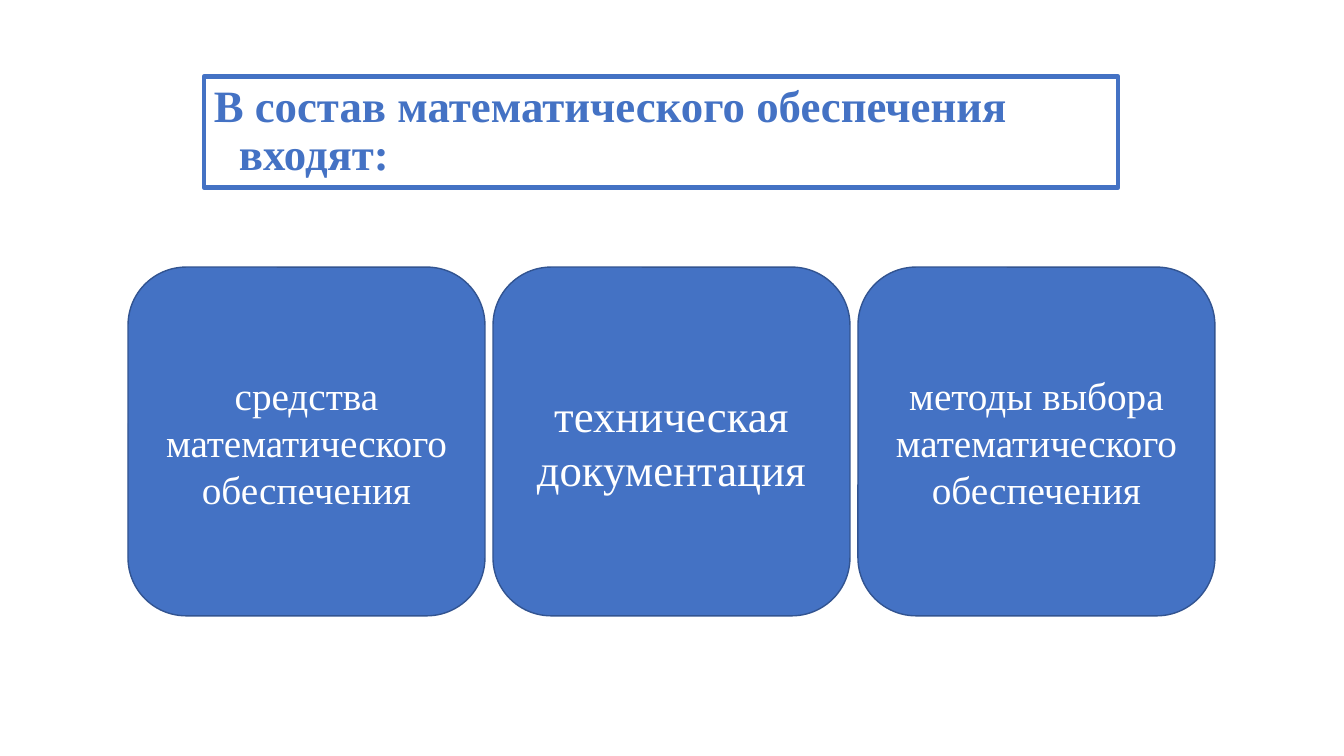
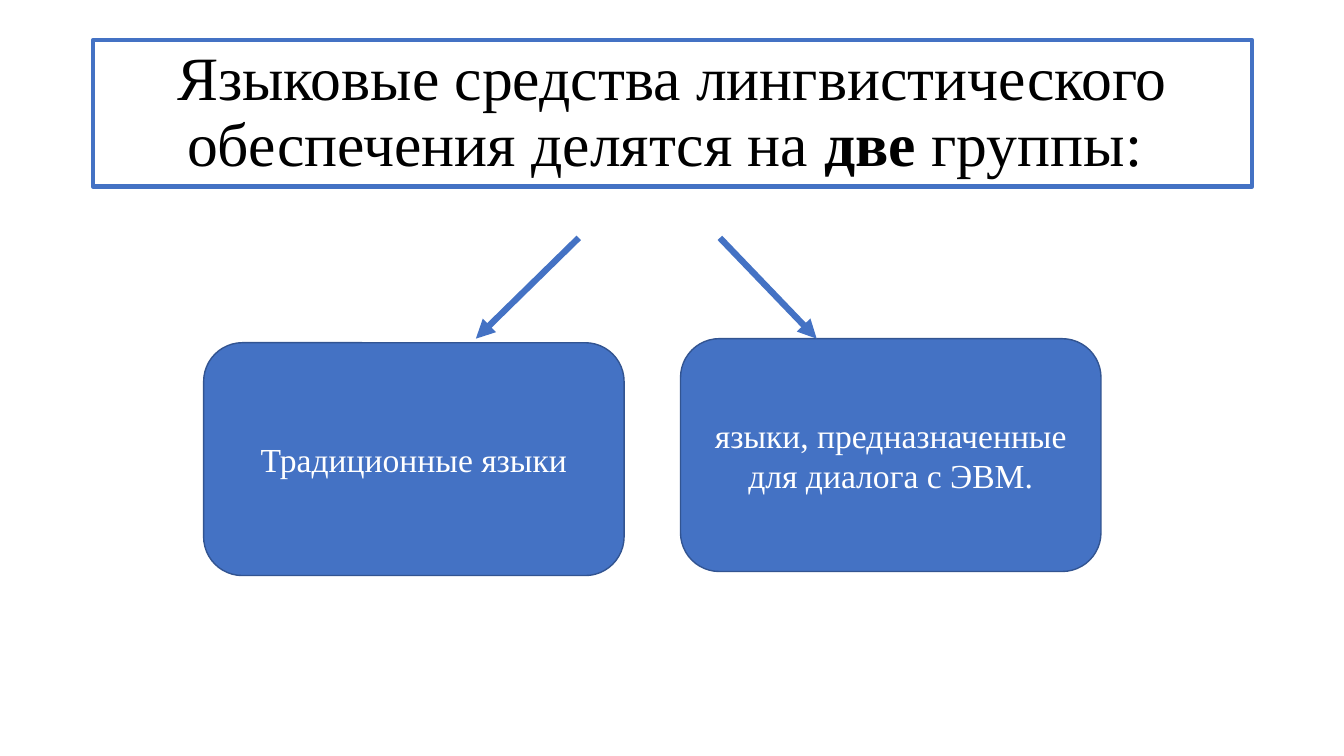
import pptx
import pptx.util
import pptx.dml.color
import pptx.enum.shapes
import pptx.enum.text
import pptx.oxml
import pptx.oxml.ns
from pptx.util import Inches

COLORS = {"blue": "4472C4", "edge": "325491", "white": "FFFFFF", "black": "000000"}
ALIGN = pptx.enum.text.PP_ALIGN
ANCHOR = pptx.enum.text.MSO_ANCHOR


def rgb(name):
    return pptx.dml.color.RGBColor.from_string(COLORS[name])


class Deck:
    """Holds the shared style and the current slide."""

    font = "Times New Roman"

    def __init__(self):
        self.prs = pptx.Presentation()
        self.prs.slide_width = Inches(13.33)
        self.prs.slide_height = Inches(7.5)

    def new_slide(self):
        self.s = self.prs.slides.add_slide(self.prs.slide_layouts[5])

    def outline(self, sp, color, width):
        sp.line.color.rgb = rgb(color)
        sp.line.width = pptx.util.Pt(width)

    def place(self, sp, x, y, w, h):
        sp.left, sp.top, sp.width, sp.height = map(Inches, (x, y, w, h))

    def format_run(self, r, size, color, bold=False):
        r.font.name = self.font
        r.font.size = pptx.util.Pt(size)
        r.font.bold = bold
        r.font.color.rgb = rgb(color)

    def title(self, box, parts, size, color, align=ALIGN.CENTER, before=0, hanging=0):
        sp = self.s.shapes.title
        self.place(sp, *box)
        self.outline(sp, "blue", 3)
        tf = sp.text_frame
        tf.word_wrap = True
        tf.auto_size = pptx.enum.text.MSO_AUTO_SIZE.NONE
        tf.vertical_anchor = ANCHOR.MIDDLE
        p = tf.paragraphs[0]
        p.alignment = align
        p.line_spacing = 0.9
        p.space_before = pptx.util.Pt(before)
        if hanging:
            pPr = p._p.get_or_add_pPr()
            pPr.set("marL", str(Inches(hanging)))
            pPr.set("indent", str(-Inches(hanging)))
        for text, bold in parts:
            r = p.add_run()
            r.text = text
            self.format_run(r, size, color, bold)

    def card(self, x, y, w, h, text, size):
        kind = pptx.enum.shapes.MSO_SHAPE.ROUNDED_RECTANGLE
        sp = self.s.shapes.add_shape(kind, *map(Inches, (x, y, w, h)))
        sp.shadow.inherit = False
        sp.fill.solid()
        sp.fill.fore_color.rgb = rgb("blue")
        self.outline(sp, "edge", 1)
        tf = sp.text_frame
        tf.word_wrap = True
        tf.vertical_anchor = ANCHOR.MIDDLE
        tf.text = text
        p = tf.paragraphs[0]
        p.alignment = ALIGN.CENTER
        self.format_run(p.runs[0], size, "white")

    def arrow(self, x1, y1, x2, y2):
        kind = pptx.enum.shapes.MSO_CONNECTOR.STRAIGHT
        sp = self.s.shapes.add_connector(kind, *map(Inches, (x1, y1, x2, y2)))
        self.outline(sp, "blue", 4.5)
        tail = pptx.oxml.parse_xml(
            f'<a:tailEnd {pptx.oxml.ns.nsdecls("a")} type="triangle"/>')
        sp.line._get_or_add_ln().append(tail)
        effects = pptx.oxml.parse_xml(f'<a:effectLst {pptx.oxml.ns.nsdecls("a")}/>')
        sp._element.spPr.append(effects)


deck = Deck()

deck.new_slide()
deck.title((2.02, 0.76, 9.07, 1.1),
           [("В состав математического обеспечения входят:", True)],
           32, "blue", ALIGN.LEFT, before=10, hanging=0.25)
components = [
    ("средства математического обеспечения", 28),
    ("техническая документация", 32),
    ("методы выбора математического обеспечения", 28),
]
card_w, gap = 3.54, 0.08
for i, (text, size) in enumerate(components):
    deck.card(1.27 + i * (card_w + gap), 2.65, card_w, 3.46, text, size)

deck.new_slide()
deck.title((0.92, 0.4, 11.5, 1.45),
           [("Языковые средства лингвистического обеспечения делятся на ", False),
            ("две", True), (" группы: ", False)], 44, "black")
groups = [
    (6.75, 3.36, "языки, предназначенные для диалога с ЭВМ."),
    (2.02, 3.4, "Традиционные языки"),
]
for x, y, text in groups:
    deck.card(x, y, 4.17, 2.31, text, 24)
for start, end in [(5.74, 4.72), (7.14, 8.1)]:
    deck.arrow(start, 2.36, end, 3.36)

deck.prs.save("out.pptx")
